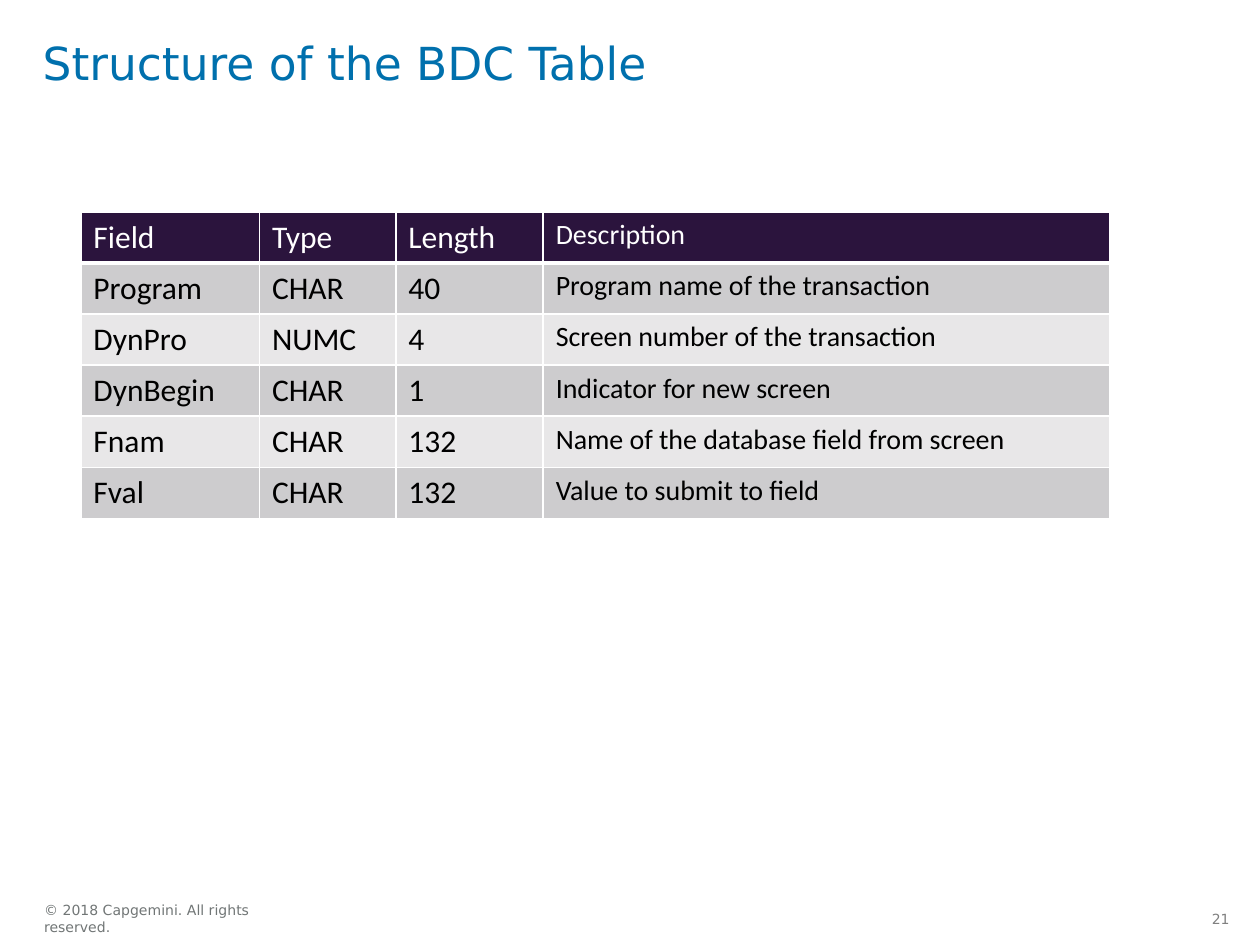
import pptx
import pptx.dml.color
import pptx.enum.text
import pptx.oxml
import pptx.oxml.ns
import pptx.util
from pptx.util import Cm

SANS = "DejaVu Sans"
ANCHOR = pptx.enum.text.MSO_ANCHOR
ALIGN = pptx.enum.text.PP_ALIGN

COLUMN_WIDTHS = (3.6, 2.75, 2.97, 11.43)
ROW_HEIGHT = 1.03
FIELDS = (
    ("Field", "Type", "Length", "Description"),
    ("Program", "CHAR", "40", "Program name of the transaction"),
    ("DynPro", "NUMC", "4", "Screen number of the transaction"),
    ("DynBegin", "CHAR", "1", "Indicator for new screen"),
    ("Fnam", "CHAR", "132", "Name of the database field from screen"),
    ("Fval", "CHAR", "132", "Value to submit to field"),
)


def color(value):
    return pptx.dml.color.RGBColor.from_string(value)


def style(para, size, font, fill):
    para.font.size = pptx.util.Pt(size)
    para.font.name = font
    para.font.color.rgb = color(fill)


def clear_margins(frame):
    frame.margin_left = frame.margin_right = 0
    frame.margin_top = frame.margin_bottom = 0


def add_title(page, left, top, width, height):
    title = page.shapes.title
    title.left, title.top, title.width, title.height = map(Cm, (left, top, width, height))
    frame = title.text_frame
    clear_margins(frame)
    frame.vertical_anchor = ANCHOR.TOP
    frame.text = "Structure of the BDC Table"
    para = frame.paragraphs[0]
    para.alignment = ALIGN.LEFT
    para.line_spacing = pptx.util.Pt(30)
    style(para, 26, SANS, "0070AD")


def set_borders(cell, bottom):
    """Draw white lines, one point wide except for the bottom one."""
    properties = cell._tc.get_or_add_tcPr()
    for side, points in (("L", 1), ("R", 1), ("T", 1), ("B", bottom)):
        properties.append(pptx.oxml.parse_xml(
            f'<a:ln{side} {pptx.oxml.ns.nsdecls("a")} w="{pptx.util.Pt(points)}">'
            f'<a:solidFill><a:srgbClr val="FFFFFF"/></a:solidFill></a:ln{side}>'))


def add_field_table(page, left, top):
    table = page.shapes.add_table(
        len(FIELDS), len(COLUMN_WIDTHS), Cm(left), Cm(top),
        Cm(sum(COLUMN_WIDTHS)), Cm(ROW_HEIGHT * len(FIELDS))).table
    for column, width in zip(table.columns, COLUMN_WIDTHS):
        column.width = Cm(width)
    for row_index, values in enumerate(FIELDS):
        table.rows[row_index].height = Cm(ROW_HEIGHT)
        header = row_index == 0
        band = "2B143D" if header else ("E8E7E8", "CDCCCE")[row_index % 2]
        for column_index, value in enumerate(values):
            cell = table.cell(row_index, column_index)
            set_borders(cell, 3 if header else 1)
            cell.fill.solid()
            cell.fill.fore_color.rgb = color(band)
            cell.text = value
            para = cell.text_frame.paragraphs[0]
            para.font.bold = False
            style(para, 16 if column_index == 3 else 18, "Calibri",
                  "FFFFFF" if header else "000000")


def add_label(page, text, left, top, width, height, fill, align):
    box = page.shapes.add_textbox(Cm(left), Cm(top), Cm(width), Cm(height))
    frame = box.text_frame
    frame.word_wrap = False
    clear_margins(frame)
    frame.vertical_anchor = ANCHOR.MIDDLE
    frame.text = text
    frame.paragraphs[0].alignment = align
    style(frame.paragraphs[0], 8, SANS, fill)


def add_footer(page, left, top, width, height):
    add_label(page, "© 2018 Capgemini. All rights reserved.",
              left, top, 4.62, height, "717676", ALIGN.LEFT)
    number_width = 0.5
    add_label(page, "21", left + width - number_width, top, number_width, height,
              "808080", ALIGN.RIGHT)


def main():
    deck = pptx.Presentation()
    deck.slide_width, deck.slide_height = Cm(25.4), Cm(19.05)
    page = deck.slides.add_slide(deck.slide_layouts[5])
    add_title(page, 0.86, 0.74, 23.65, 2.39)
    add_field_table(page, 1.63, 4.27)
    add_footer(page, 0.89, 18.21, 23.9, 0.61)
    deck.save("out.pptx")


if __name__ == "__main__":
    main()
